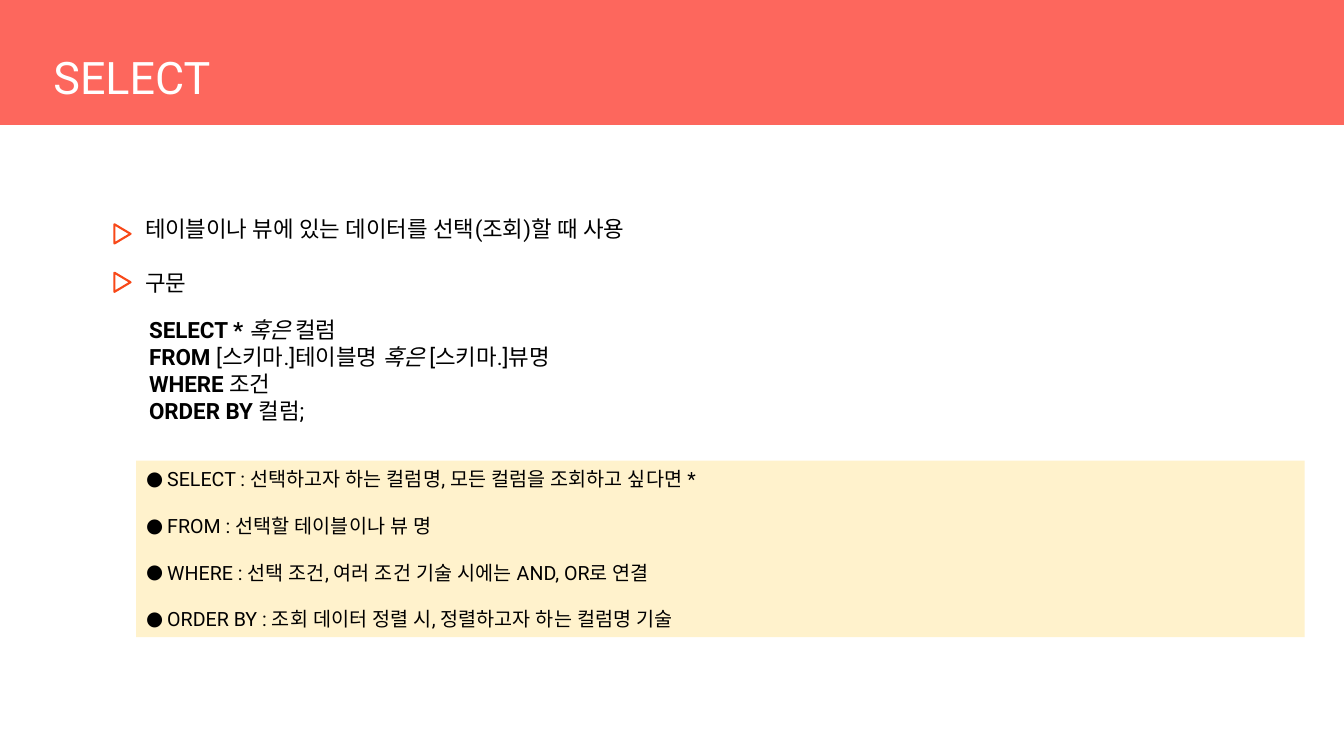
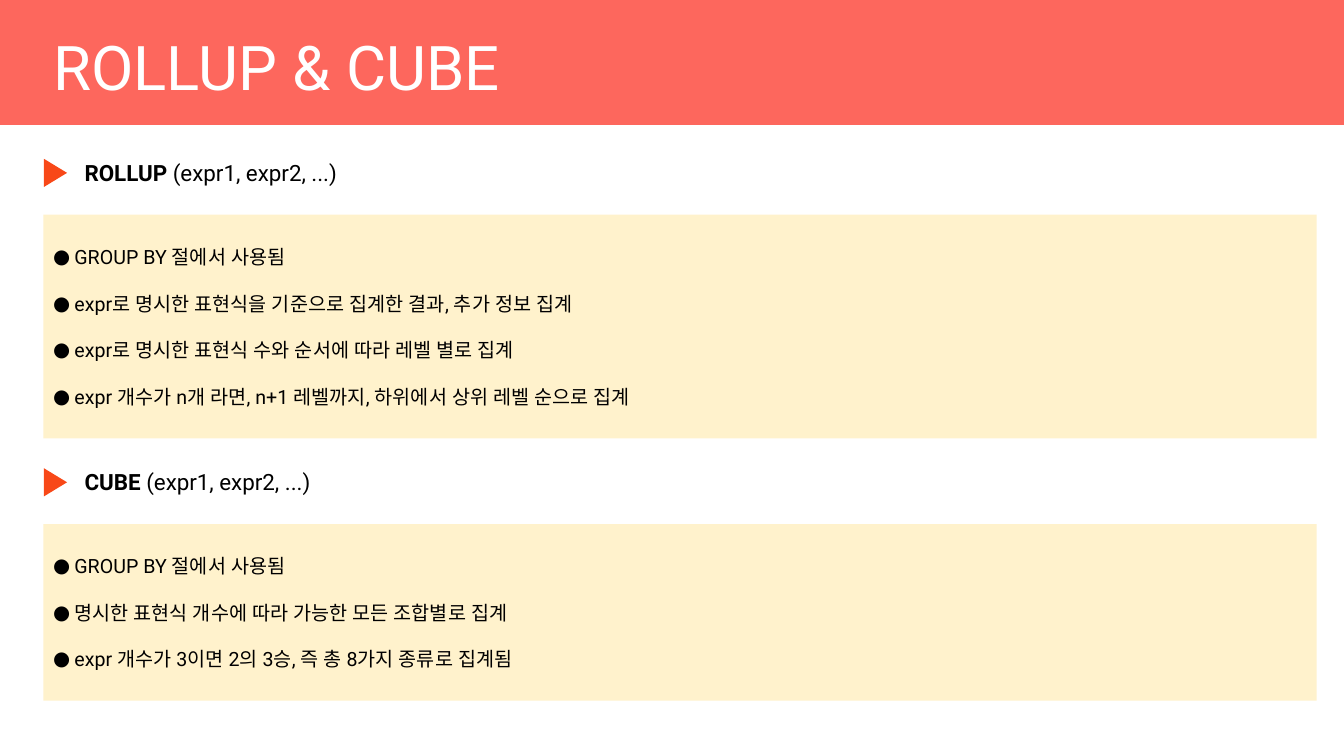
from lxml import etree
from pptx import Presentation
from pptx.dml.color import RGBColor
from pptx.enum import shapes, text
from pptx.oxml.ns import qn
from pptx.util import Inches, Pt

COLORS = {
    "band": "FD675D",
    "accent": "F84818",
    "panel": "FFF2CC",
    "ink": "000000",
    "white": "FFFFFF",
}
FONT = "Roboto"
TITLE_ONLY = 5
PAGE_WIDTH, PAGE_HEIGHT = 13.33, 7.5
BODY_SIZE, PANEL_SIZE = 16, 14
BULLET_INDENT = 0.21


def color(name):
    return RGBColor.from_string(COLORS[name])


def format_span(span, size, ink="ink", style=""):
    """Style holds "b" for bold and "i" for italic."""
    font = span.font
    font.name, font.size = FONT, Pt(size)
    font.bold, font.italic = "b" in style, "i" in style
    font.color.rgb = color(ink)
    east_asian = etree.SubElement(font._element, qn("a:ea"))
    east_asian.set("typeface", FONT)


def add_filled_shape(page, kind, left, top, width, height, fill):
    shape = page.shapes.add_shape(
        kind, Inches(left), Inches(top), Inches(width), Inches(height))
    shape.shadow.inherit = False
    shape.fill.solid()
    shape.fill.fore_color.rgb = color(fill)
    shape.line.fill.background()
    return shape


def add_page(deck, title, title_size):
    """Add a page with the coloured band behind its title."""
    page = deck.slides.add_slide(deck.slide_layouts[TITLE_ONLY])
    band = add_filled_shape(
        page, shapes.MSO_SHAPE.RECTANGLE, 0, 0, PAGE_WIDTH, 1.24, "band")
    page.shapes.element.insert(2, band._element)

    box = page.shapes.title
    box.left, box.top = Inches(0.43), Inches(0.3)
    box.width, box.height = Inches(11.5), Inches(0.78)
    frame = box.text_frame
    frame.text = title
    frame.auto_size = text.MSO_AUTO_SIZE.NONE
    frame.vertical_anchor = text.MSO_ANCHOR.BOTTOM
    para = frame.paragraphs[0]
    para.alignment = text.PP_ALIGN.LEFT
    para.line_spacing = 0.9
    format_span(para.runs[0], title_size, "white")
    return page


def add_lines(page, left, top, lines):
    """Write lines of (words, style) spans in one text box."""
    box = page.shapes.add_textbox(
        Inches(left), Inches(top), Inches(9.25), Inches(0.1 + 0.27 * len(lines)))
    frame = box.text_frame
    frame.word_wrap = True
    for index, spans in enumerate(lines):
        para = frame.add_paragraph() if index else frame.paragraphs[0]
        for words, style in spans:
            span = para.add_run()
            span.text = words
            format_span(span, BODY_SIZE, style=style)


def add_marker(page, left, top, width, height, outlined=False):
    """Add a triangle pointing right; the box is its size before turning."""
    marker = add_filled_shape(
        page, shapes.MSO_SHAPE.FLOWCHART_EXTRACT, left, top, width, height,
        "white" if outlined else "accent")
    marker.rotation = 90
    if outlined:
        marker.line.color.rgb = color("accent")
        marker.line.width = Pt(1.5)


def add_bullet(para):
    properties = para._p.get_or_add_pPr()
    properties.set("marL", str(Inches(BULLET_INDENT)))
    properties.set("indent", str(-Inches(BULLET_INDENT)))
    etree.SubElement(properties, qn("a:buFont")).set("typeface", FONT)
    etree.SubElement(properties, qn("a:buChar")).set("char", "●")


def add_panel(page, left, top, width, height, items):
    panel = add_filled_shape(
        page, shapes.MSO_SHAPE.RECTANGLE, left, top, width, height, "panel")
    frame = panel.text_frame
    frame.word_wrap = True
    frame.vertical_anchor = text.MSO_ANCHOR.MIDDLE
    frame.text = "\n".join(items)
    for index, para in enumerate(frame.paragraphs):
        add_bullet(para)
        para.alignment = text.PP_ALIGN.LEFT
        if index:
            para.space_before = Pt(16.5)
        format_span(para.runs[0], PANEL_SIZE)


def add_function_section(page, left, top, panel_height, name, items):
    """Add a marked function signature with its panel of notes below."""
    add_marker(page, left - 0.02, top + 0.07, 0.28, 0.23)
    add_lines(page, left + 0.31, top, [[(name + " ", "b"), ("(expr1, expr2, ...)", "")]])
    add_panel(page, left, top + 0.6, 12.63, panel_height, items)


def build_select(deck):
    page = add_page(deck, "SELECT", 32)
    headings = [
        (2.09, 2.24, "테이블이나 뷰에 있는 데이터를 선택(조회)할 때 사용"),
        (2.62, 2.72, "구문"),
    ]
    for top, marker_top, words in headings:
        add_marker(page, 1.12, marker_top, 0.19, 0.16, outlined=True)
        add_lines(page, 1.34, top, [[(words, "")]])
    add_lines(page, 1.38, 3.09, [
        [("SELECT * ", "b"), ("혹은", "i"), (" 컬럼", "")],
        [("FROM ", "b"), ("[스키마.]테이블명 ", ""), ("혹은 ", "i"), ("[스키마.]뷰명", "")],
        [("WHERE ", "b"), ("조건", "")],
        [("ORDER BY ", "b"), ("컬럼;", "")],
    ])
    add_panel(page, 1.35, 4.57, 11.59, 1.75, [
        "SELECT : 선택하고자 하는 컬럼명, 모든 컬럼을 조회하고 싶다면 *",
        "FROM : 선택할 테이블이나 뷰 명",
        "WHERE : 선택 조건, 여러 조건 기술 시에는 AND, OR로 연결",
        "ORDER BY : 조회 데이터 정렬 시, 정렬하고자 하는 컬럼명 기술",
    ])


def build_rollup_cube(deck):
    page = add_page(deck, "ROLLUP & CUBE", 44)
    add_function_section(page, 0.43, 1.53, 2.22, "ROLLUP", [
        "GROUP BY 절에서 사용됨",
        "expr로 명시한 표현식을 기준으로 집계한 결과, 추가 정보 집계",
        "expr로 명시한 표현식 수와 순서에 따라 레벨 별로 집계",
        "expr 개수가 n개 라면, n+1 레벨까지, 하위에서 상위 레벨 순으로 집계",
    ])
    add_function_section(page, 0.43, 4.6, 1.75, "CUBE", [
        "GROUP BY 절에서 사용됨",
        "명시한 표현식 개수에 따라 가능한 모든 조합별로 집계",
        "expr 개수가 3이면 2의 3승, 즉 총 8가지 종류로 집계됨",
    ])


def main():
    deck = Presentation()
    deck.slide_width, deck.slide_height = Inches(PAGE_WIDTH), Inches(PAGE_HEIGHT)
    build_select(deck)
    build_rollup_cube(deck)
    deck.save("out.pptx")


if __name__ == "__main__":
    main()
